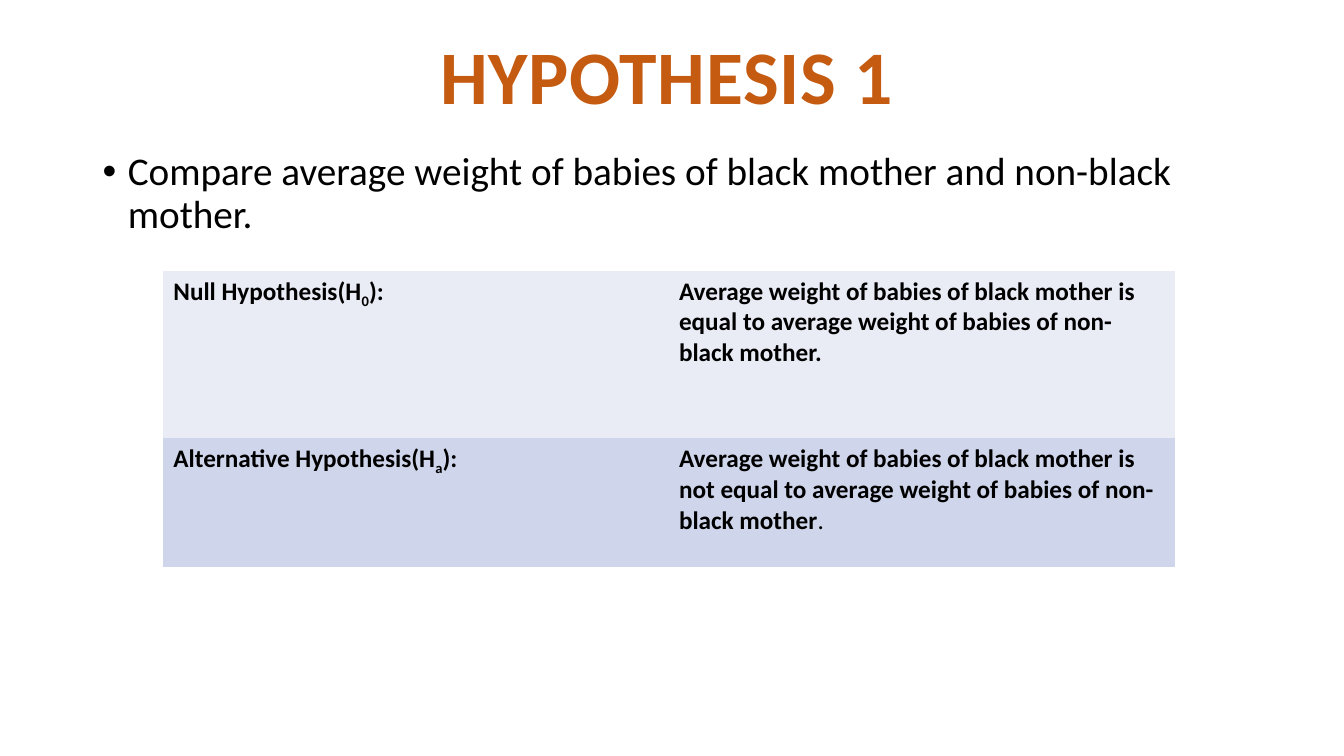
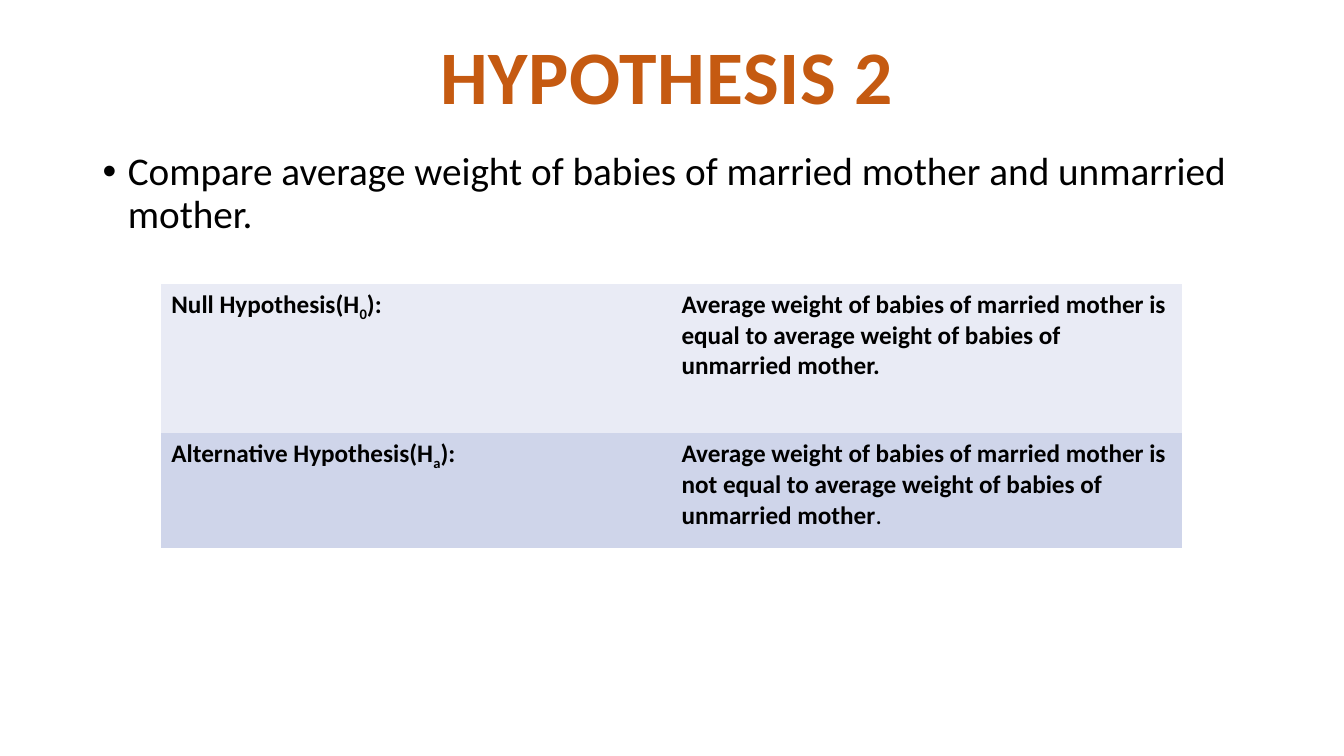
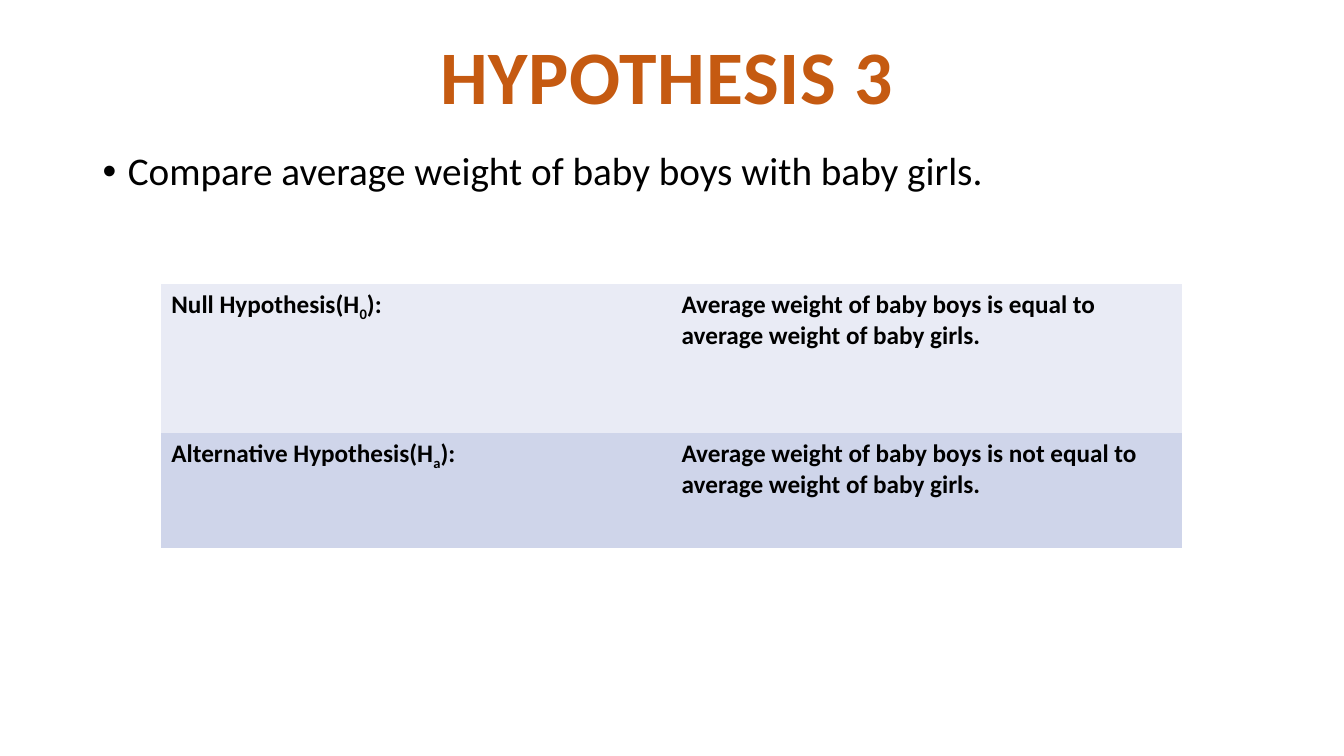
from dataclasses import dataclass
from lxml.etree import SubElement
from pptx import Presentation
from pptx.dml.color import RGBColor
from pptx.enum.text import MSO_AUTO_SIZE, PP_ALIGN
from pptx.oxml.ns import qn
from pptx.util import Inches, Pt


@dataclass(frozen=True)
class Theme:
    """Colours, fonts and type sizes of the deck."""
    font: str = "Calibri"
    title: str = "C55A11"
    ink: str = "000000"
    bands: tuple = ("E9EBF5", "CFD5EA")
    big: int = 54
    mid: int = 28
    small: int = 18
    grid: str = "{2D5ABB26-0587-4C30-8999-92F81FD0307C}"


LOOK = Theme()
HEAD = {"size": Pt(LOOK.big), "bold": True}
LEAD = {"size": Pt(LOOK.mid)}
CELL = {"size": Pt(LOOK.small), "bold": True}


def apply(item, form):
    """Set each attribute named in the format."""
    for name, value in form.items():
        setattr(item, name, value)


def write(para, text, form, color=LOOK.ink, **marks):
    """Add one run with its format and raw run marks."""
    run = para.add_run()
    run.text = text
    apply(run.font, {"name": LOOK.font, **form})
    run.font.color.rgb = RGBColor.from_string(color)
    for name, value in marks.items():
        run._r.get_or_add_rPr().set(name, value)


def frame(slide, box):
    """Add a wrapping text box and return its frame."""
    text = slide.shapes.add_textbox(*map(Inches, box)).text_frame
    text.word_wrap = True
    return text


def title(slide, text, box):
    """Place the centred slide title."""
    area = frame(slide, box)
    area.auto_size = MSO_AUTO_SIZE.SHAPE_TO_FIT_TEXT
    para = area.paragraphs[0]
    para.alignment = PP_ALIGN.CENTER
    write(para, text, HEAD, LOOK.title, spc="50")


def lead(slide, text, box):
    """Place the bulleted aim of the test."""
    para = frame(slide, box).paragraphs[0]
    apply(para, {"line_spacing": 0.9, "space_before": Pt(10)})
    props = para._p.get_or_add_pPr()
    for name, inch in {"marL": 0.25, "indent": -0.25}.items():
        props.set(name, str(Inches(inch)))
    SubElement(props, qn("a:buFont"), typeface="Arial")
    SubElement(props, qn("a:buChar"), char="•")
    write(para, text, LEAD)


def claims(slide, pair, stop, box, rows):
    """Place the table of null and alternative claims."""
    left, top, width = box
    table = slide.shapes.add_table(
        2, 2, *map(Inches, (left, top, width, sum(rows)))).table
    apply(table, {"first_row": False, "horz_banding": False})
    table._tbl.tblPr.find(qn("a:tableStyleId")).text = LOOK.grid
    names = (("Null", "0"), ("Alternative", "a"))
    for row, high, band, (name, sub), claim in zip(
            table.rows, rows, LOOK.bands, names, pair):
        row.height = Inches(high)
        for cell in row.cells:
            cell.fill.solid()
            cell.fill.fore_color.rgb = RGBColor.from_string(band)
        label, body = (cell.text_frame.paragraphs[0] for cell in row.cells)
        write(label, f"{name} Hypothesis(H", CELL)
        write(label, sub, CELL, baseline="-25000")
        write(label, "): ", CELL)
        write(body, claim, CELL)
    if stop:
        write(body, stop, {**CELL, "bold": False})


def page(deck, count, aim, one, two, stop, box, rows):
    """Build one hypothesis slide."""
    slide = deck.slides.add_slide(deck.slide_layouts[6])
    lead(slide, aim, (0.92, 1.46, 11.5, 4.76))
    start = f"Average weight of {one} is "
    end = f"equal to average weight of {two}"
    dot = "" if stop else "."
    pair = (f"{start}{end}.", f"{start}not {end}{dot}")
    claims(slide, pair, stop, box, rows)
    title(slide, f"HYPOTHESIS {count}", (1.18, 0.24, 10.87, 1.01))


WIDE = ((1.6, 2.82, 10.12), (1.48, 1.14))
PAGES = (
    ("Compare average weight of babies of black mother and non-black mother.",
     "babies of black mother", "babies of non-black mother", ".",
     (1.62, 2.69, 10.03), (1.66, 1.28)),
    ("Compare average weight of babies of married mother and unmarried mother.",
     "babies of married mother", "babies of unmarried mother", ".", *WIDE),
    ("Compare average weight of baby boys with baby girls.",
     "baby boys", "baby girls", "", *WIDE),
)

deck = Presentation()
apply(deck, {"slide_width": Inches(13.33), "slide_height": Inches(7.5)})
for count, parts in enumerate(PAGES, 1):
    page(deck, count, *parts)
deck.save("out.pptx")
